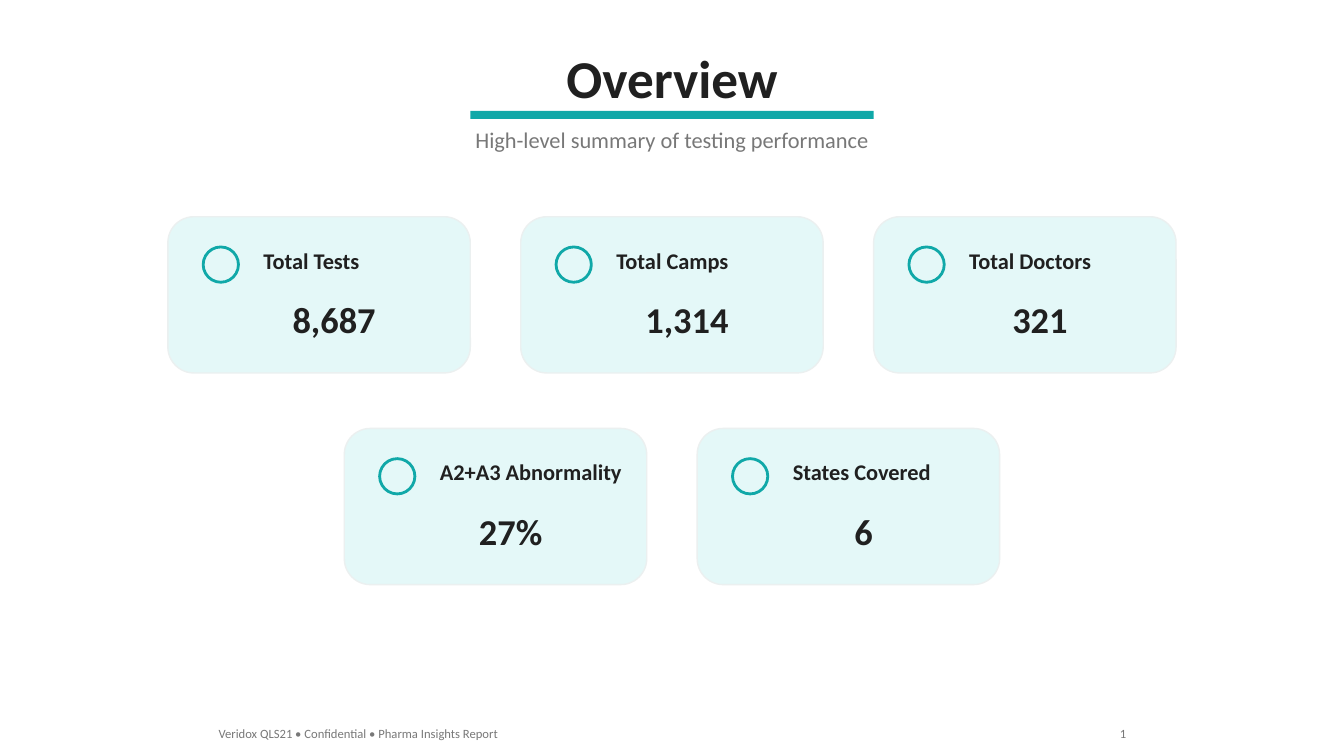
from pptx import Presentation
from pptx.dml.color import RGBColor
from pptx.enum.shapes import MSO_SHAPE
from pptx.enum.text import MSO_AUTO_SIZE, PP_ALIGN
from pptx.util import Inches, Pt

SLIDE_W = 13.33
CARD_W, CARD_H = 3, 1.55
CARD_GAP, ROW_STEP, FIRST_ROW = 0.5, 2.1, 2.15
VALUE_CENTER = 1.65
TEAL, INK, GRAY = "10A8A8", "202020", "787878"
CARD_FILL, CARD_LINE = "E4F8F8", "EBF0F0"

ROWS = [
    [("Total Tests", 1.16, "8,687", 1.03),
     ("Total Camps", 1.33, "1,314", 1.03),
     ("Total Doctors", 1.43, "321", 0.75)],
    [("A2+A3 Abnormality", 2.03, "27%", 0.84),
     ("States Covered", 1.59, "6", 0.39)],
]


def color(value):
    return RGBColor.from_string(value)


def add_box(s, kind, x, y, w, h, fill=None, line=None, line_width=1):
    sp = s.shapes.add_shape(kind, Inches(x), Inches(y), Inches(w), Inches(h))
    sp.shadow.inherit = False
    if fill:
        sp.fill.solid()
        sp.fill.fore_color.rgb = color(fill)
    else:
        sp.fill.background()
    if line:
        sp.line.color.rgb = color(line)
        sp.line.width = Pt(line_width)
    else:
        sp.line.fill.background()


def add_text(s, text, x, y, w, h, size, fill, bold=False, align=PP_ALIGN.LEFT):
    sp = s.shapes.add_textbox(Inches(x), Inches(y), Inches(w), Inches(h))
    tf = sp.text_frame
    tf.text = text
    tf.word_wrap = False
    tf.auto_size = MSO_AUTO_SIZE.SHAPE_TO_FIT_TEXT
    p = tf.paragraphs[0]
    p.alignment = align
    r = p.runs[0]
    r.font.name = "Calibri"
    r.font.size = Pt(size)
    r.font.bold = bold
    r.font.color.rgb = color(fill)


def add_centered(s, text, center, y, w, h, size, fill, bold=False):
    add_text(s, text, center - w / 2, y, w, h, size, fill, bold, PP_ALIGN.CENTER)


def add_card(s, x, y, label, label_w, value, value_w):
    add_box(s, MSO_SHAPE.ROUNDED_RECTANGLE, x, y, CARD_W, CARD_H, CARD_FILL, CARD_LINE)
    add_box(s, MSO_SHAPE.OVAL, x + 0.35, y + 0.3, 0.35, 0.35, line=TEAL, line_width=2)
    add_text(s, label, x + 0.85, y + 0.25, label_w, 0.37, 16, INK, bold=True)
    add_centered(s, value, x + VALUE_CENTER, y + 0.75, value_w, 0.54, 26, INK, bold=True)


def main():
    prs = Presentation()
    prs.slide_width = Inches(SLIDE_W)
    prs.slide_height = Inches(7.5)
    s = prs.slides.add_slide(prs.slide_layouts[6])
    middle = SLIDE_W / 2

    add_centered(s, "Overview", middle, 0.4, 2.32, 0.74, 38, INK, bold=True)
    add_box(s, MSO_SHAPE.RECTANGLE, middle - 2, 1.1, 4, 0.08, TEAL)
    add_centered(s, "High-level summary of testing performance",
                 middle, 1.2, 4.15, 0.37, 16, GRAY)

    for i, row in enumerate(ROWS):
        row_w = len(row) * (CARD_W + CARD_GAP) - CARD_GAP
        for j, card in enumerate(row):
            x = middle - row_w / 2 + j * (CARD_W + CARD_GAP)
            add_card(s, x, FIRST_ROW + i * ROW_STEP, *card)

    add_text(s, "Veridox QLS21 • Confidential • Pharma Insights Report",
             2.07, 7.15, 3.05, 0.25, 9, GRAY)
    add_text(s, "1", 11, 7.15, 0.27, 0.25, 9, GRAY, align=PP_ALIGN.RIGHT)
    prs.save("out.pptx")


if __name__ == "__main__":
    main()
